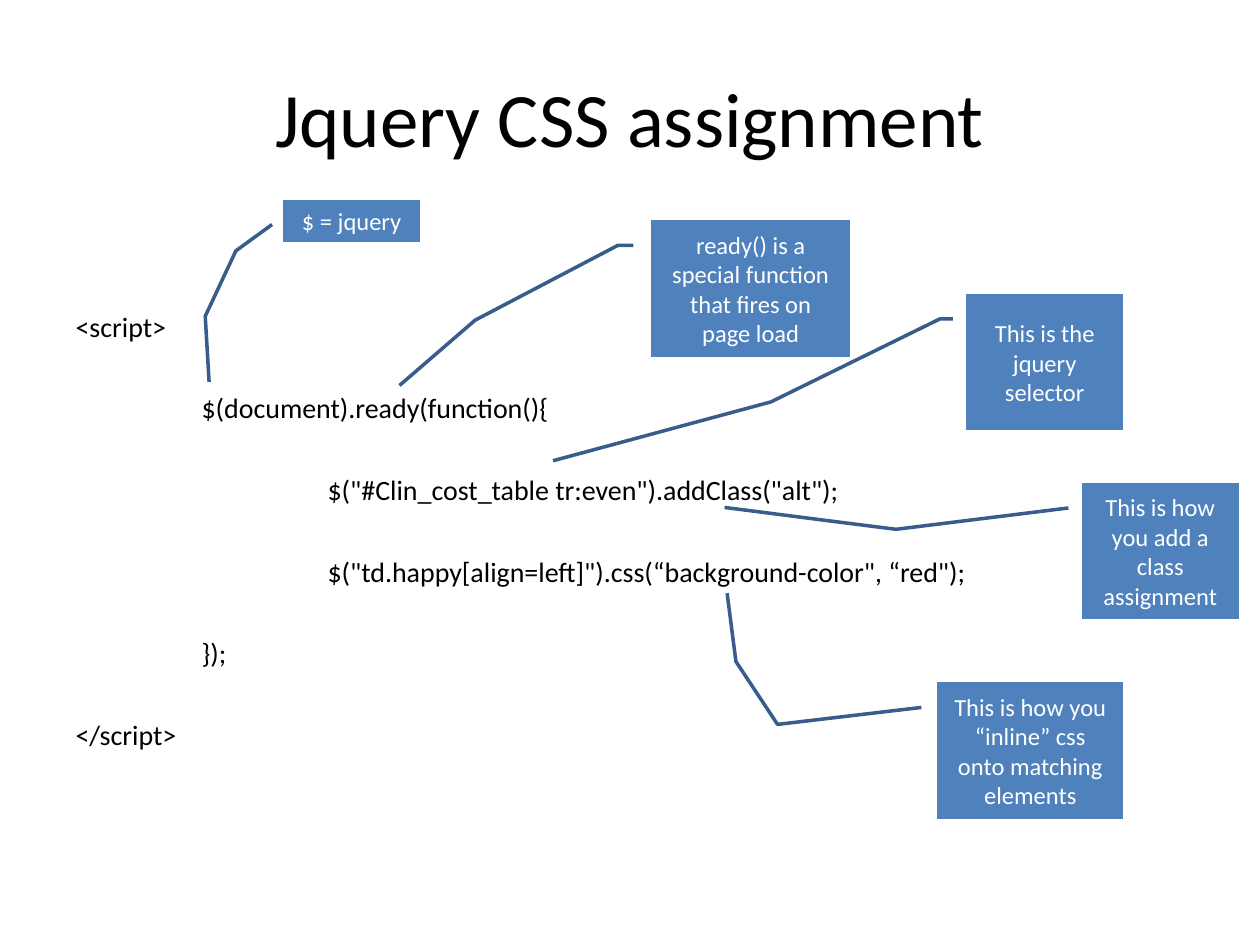
from dataclasses import dataclass

from pptx import Presentation
from pptx import util as u
from pptx.dml import color
from pptx.enum import shapes, text
from pptx.oxml import ns
from lxml import etree

Pt = u.Pt


@dataclass(frozen=True)
class Theme:
    font: str = "Calibri"
    ink: str = "000000"
    pale: str = "FFFFFF"
    fill: str = "4F81BD"
    line: str = "385D8A"
    head: float = 44
    code: float = 16
    note: float = 14


T = Theme()

CODE = [  # indent level, line
    (0, "<script>"),
    (1, "$(document).ready(function(){"),
    (2, '$("#Clin_cost_table tr:even").addClass("alt");'),
    (2, '$("td.happy[align=left]").css(“background-color", “red");'),
    (1, "});"),
    (0, "</script>"),
]

LEAD = 14.3  # drop from a note's top to the start of its leader

NOTES = [  # box, leader start x, further leader points, words
    ((372, 126, 114, 78), 362, [(353, 140.3), (271.5, 183), (228.3, 220.3)],
     "ready() is a special function that fires on page load"),
    ((552, 168, 90, 78), 544.5, [(537, 182.3), (440.5, 229.7), (316, 263.3)],
     "This is the jquery selector"),
    ((618, 276, 90, 78), 610.5, [(512, 302.5), (472.5, 297.5), (414, 290)],
     "This is how you add a class assignment"),
    ((535.5, 390, 106.5, 78), 526.5, [(444.3, 414), (420.5, 378), (415.5, 339)],
     "This is how you “inline” css onto matching elements"),
    ((162, 114, 78, 24), 155.5, [(134.8, 143.3), (117.3, 180.7), (119.5, 218.2)],
     "$ = jquery"),
]


def put(obj, vals):
    for key, val in vals.items():
        setattr(obj, key, val)


def place(shape, box):
    put(shape, dict(zip(("left", "top", "width", "height"), map(Pt, box))))


def write(para, words, size, ink, align):
    """Fill one paragraph with a single styled run."""
    para.alignment = align
    run = para.add_run()
    run.text = words
    put(run.font, {"name": T.font, "size": Pt(size)})
    run.font.color.rgb = color.RGBColor.from_string(ink)


def add_title(slide, box):
    title = slide.shapes.title
    place(title, box)
    put(title.text_frame, {"vertical_anchor": text.MSO_ANCHOR.MIDDLE,
                           "word_wrap": True})
    write(title.text_frame.paragraphs[0], "Jquery CSS assignment",
          T.head, T.ink, text.PP_ALIGN.CENTER)


def add_code(slide, box):
    body = slide.placeholders[1]
    place(body, box)
    frame = body.text_frame
    put(frame, {"margin_top": Pt(50.6), "word_wrap": True,
                "auto_size": text.MSO_AUTO_SIZE.NONE})
    for i, (level, words) in enumerate(CODE):
        para = frame.add_paragraph() if i else frame.paragraphs[0]
        para.space_before = Pt(27.5 if i else 0)
        write(para, words, T.code, T.ink, text.PP_ALIGN.LEFT)
        # Plain indent, no bullet
        props = para._p.get_or_add_pPr()
        props.set("marL", str(Pt(72 * level)))
        props.set("indent", "0")
        etree.SubElement(props, ns.qn("a:buNone"))


def add_note(slide, box, start, bends, words):
    """Callout whose leader runs through the given slide points."""
    left, top, width, height = box
    note = slide.shapes.add_shape(
        shapes.MSO_SHAPE.LINE_CALLOUT_3_NO_BORDER, *map(Pt, box))
    for i, (x, y) in enumerate([(start, top + LEAD), *bends]):
        note.adjustments[2 * i] = (y - top) / height
        note.adjustments[2 * i + 1] = (x - left) / width
    note.shadow.inherit = False
    note.fill.solid()
    note.fill.fore_color.rgb = color.RGBColor.from_string(T.fill)
    note.line.color.rgb = color.RGBColor.from_string(T.line)
    note.line.width = Pt(2)
    put(note.text_frame, {"word_wrap": True,
                          "vertical_anchor": text.MSO_ANCHOR.MIDDLE})
    write(note.text_frame.paragraphs[0], words, T.note, T.pale,
          text.PP_ALIGN.CENTER)


def main():
    deck = Presentation()
    put(deck, {"slide_width": Pt(720), "slide_height": Pt(540)})
    slide = deck.slides.add_slide(deck.slide_layouts[1])
    add_title(slide, (36, 21.6, 648, 90))
    add_code(slide, (36, 126, 648, 356.4))
    for note in NOTES:
        add_note(slide, *note)
    deck.save("out.pptx")


if __name__ == "__main__":
    main()
